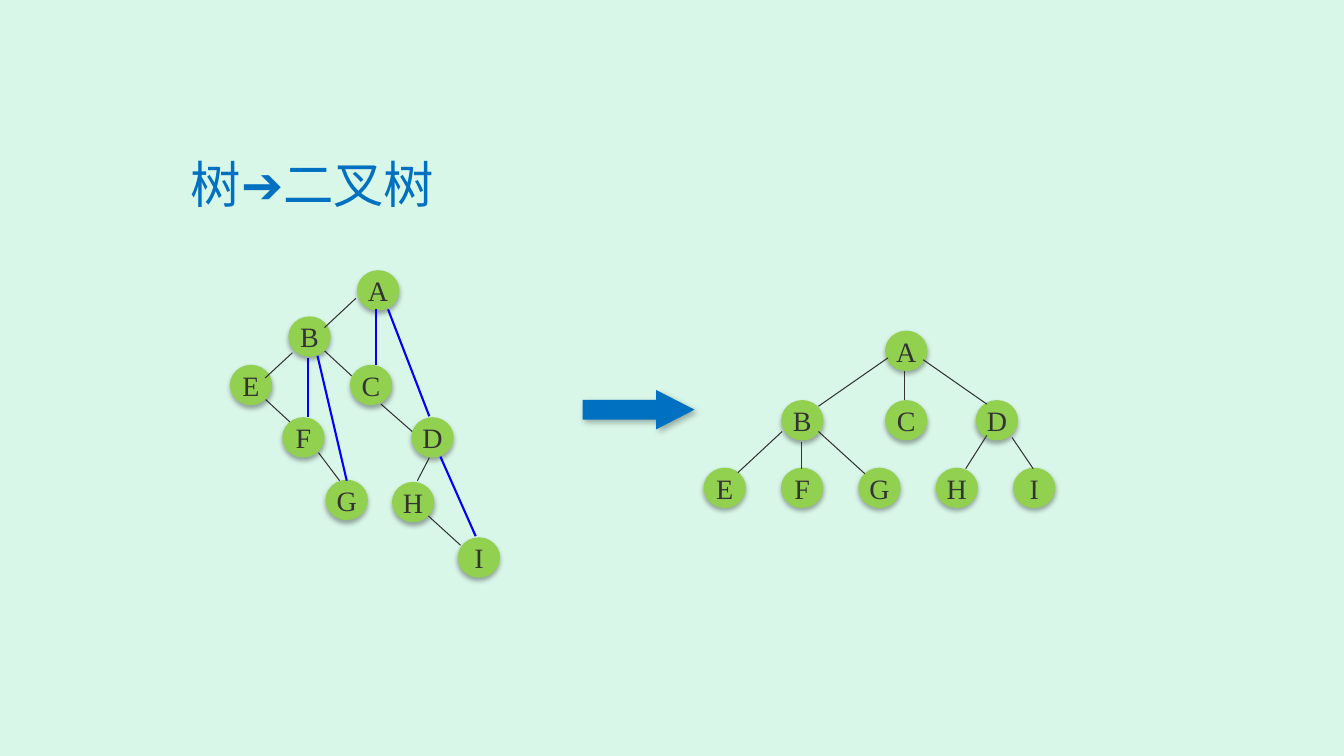
from lxml import etree
from pptx import Presentation
from pptx.dml.color import RGBColor
from pptx.enum.shapes import MSO_CONNECTOR, MSO_SHAPE
from pptx.enum.text import MSO_ANCHOR, PP_ALIGN
from pptx.oxml.ns import qn
from pptx.util import Pt

STRAIGHT = MSO_CONNECTOR.STRAIGHT
OVAL = MSO_SHAPE.OVAL
RIGHT_ARROW = MSO_SHAPE.RIGHT_ARROW
MIDDLE = MSO_ANCHOR.MIDDLE
LEFT, CENTER = PP_ALIGN.LEFT, PP_ALIGN.CENTER

COLORS = {
    "mint": "D9F7E9",
    "green": "92D050",
    "blue": "0070C0",
    "link": "0000FF",
    "ink": "333333",
    "shadow": "000000",
}
NODE_WIDTH, NODE_HEIGHT = 30.2, 28.8

TREE_NODES = {
    "A": (255, 193), "B": (206, 226), "C": (250, 260.6),
    "D": (293.8, 298), "E": (164.2, 260.6), "F": (201.6, 298),
    "G": (232.6, 342.7), "H": (280, 344.2), "I": (327, 383.8),
}
RESULT_NODES = {
    "A": (632.2, 236.2), "B": (558, 285.8), "C": (632.2, 285.8), "D": (697, 285.8),
}
for column, letter in enumerate("EFGHI"):
    RESULT_NODES[letter] = (502.6 + 55.26 * column, 334.1)

SIBLING_EDGES = [
    (189.4, 285.1, 207.4, 301.7),
    (227.5, 323.3, 242.6, 343.4),
    (231.8, 250.6, 251.3, 268.6),
    (272.2, 288.7, 295.2, 308.9),
]
CHILD_EDGES = [
    (254.2, 213.1, 231.8, 234),
    (208.8, 252, 189.4, 270),
    (306.7, 326.9, 298.1, 343.4),
    (306, 368.6, 329, 389.5),
]
RESULT_EDGES = [
    (645.8, 265, 645.8, 285.8),
    (634.3, 255.6, 584.6, 290.2),
    (659.5, 257, 704.9, 288.7),
    (572.4, 315.4, 572.4, 334.8),
    (558.7, 308.2, 527, 337.7),
    (584.6, 308.2, 617.8, 338.4),
    (704.9, 311, 689.8, 334.8),
    (722.9, 312.5, 738, 334.8),
]
LINK_EDGES = [
    (268.6, 221, 268.6, 260.6),
    (277.2, 221, 306.7, 297.4),
    (220.3, 255.6, 220.3, 298),
    (226.8, 254.2, 247.7, 343.4),
    (314.6, 326.2, 339.8, 383),
]


def write(shape, text, size, font, color, align=LEFT, margin=0.0, wrap=False):
    frame = shape.text_frame
    frame.word_wrap = wrap
    frame.vertical_anchor = MIDDLE
    frame.margin_left = frame.margin_right = Pt(margin)
    frame.margin_top = frame.margin_bottom = Pt(0)
    para = frame.paragraphs[0]
    para.alignment = align
    span = para.add_run()
    span.text = text
    span.font.size = Pt(size)
    span.font.name = font
    span.font.color.rgb = RGBColor.from_string(COLORS[color])
    east = etree.SubElement(span.font._element, qn("a:ea"))
    east.set("typeface", font)


def connect(edges, color, width):
    for left, top, right, bottom in edges:
        edge = page.shapes.add_connector(STRAIGHT, Pt(left), Pt(top), Pt(right), Pt(bottom))
        edge.line.color.rgb = RGBColor.from_string(COLORS[color])
        edge.line.width = Pt(width)
        etree.SubElement(edge._element.spPr, qn("a:effectLst"))


deck = Presentation()
deck.slide_width, deck.slide_height = Pt(960), Pt(540)
page = deck.slides.add_slide(deck.slide_layouts[5])
page.background.fill.solid()
page.background.fill.fore_color.rgb = RGBColor.from_string(COLORS["mint"])

title = page.shapes.title
title.left, title.top, title.width, title.height = Pt(129), Pt(103), Pt(197), Pt(56)
write(title, "树➔二叉树", 36, "Noto Sans CJK SC", "blue", margin=7.2, wrap=True)

arrow = page.shapes.add_shape(RIGHT_ARROW, Pt(416.2), Pt(278.6), Pt(79.9), Pt(28.1))
arrow.adjustments[0] = 0.5
arrow.adjustments[1] = 0.975
shaded = [(arrow, "blue", 30, 4.5, 2.6, 53)]

connect(SIBLING_EDGES, "ink", 0.75)
for nodes, edges in ((TREE_NODES, CHILD_EDGES), (RESULT_NODES, RESULT_EDGES)):
    for letter, (left, top) in nodes.items():
        node = page.shapes.add_shape(OVAL, Pt(left), Pt(top), Pt(NODE_WIDTH), Pt(NODE_HEIGHT))
        write(node, letter, 20, "Times New Roman", "ink", align=CENTER)
        shaded.append((node, "green", 32, 3.5, 2.2, 90))
    connect(edges, "ink", 0.75)
connect(LINK_EDGES, "link", 1.5)

for shape, color, opacity, blur, distance, angle in shaded:
    shape.fill.solid()
    shape.fill.fore_color.rgb = RGBColor.from_string(COLORS[color])
    shape.line.fill.background()
    shape.shadow.inherit = False
    effects = shape._element.spPr.find(qn("a:effectLst"))
    shadow = etree.SubElement(effects, qn("a:outerShdw"))
    shadow.set("blurRad", str(Pt(blur)))
    shadow.set("dist", str(Pt(distance)))
    shadow.set("dir", str(angle * 60000))
    shadow.set("rotWithShape", "0")
    tint = etree.SubElement(shadow, qn("a:srgbClr"))
    tint.set("val", COLORS["shadow"])
    etree.SubElement(tint, qn("a:alpha")).set("val", str(opacity * 1000))

deck.save("out.pptx")
